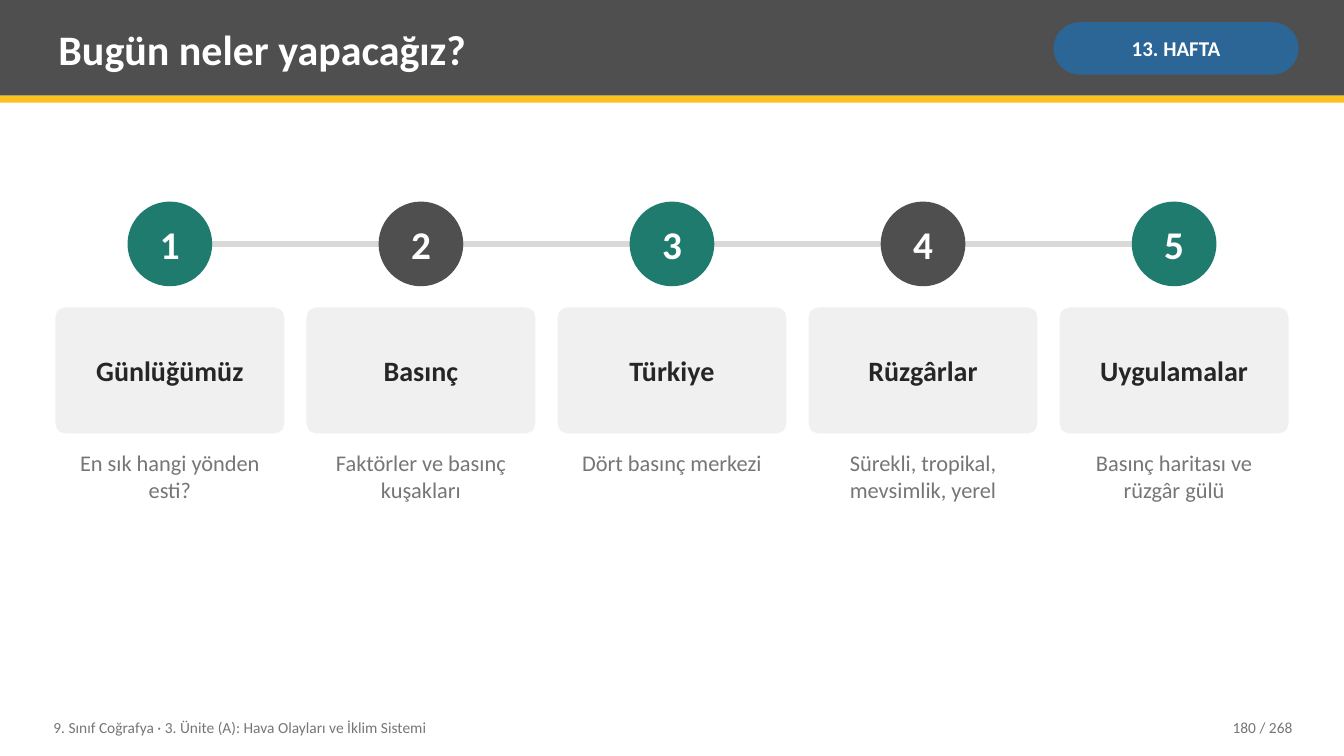
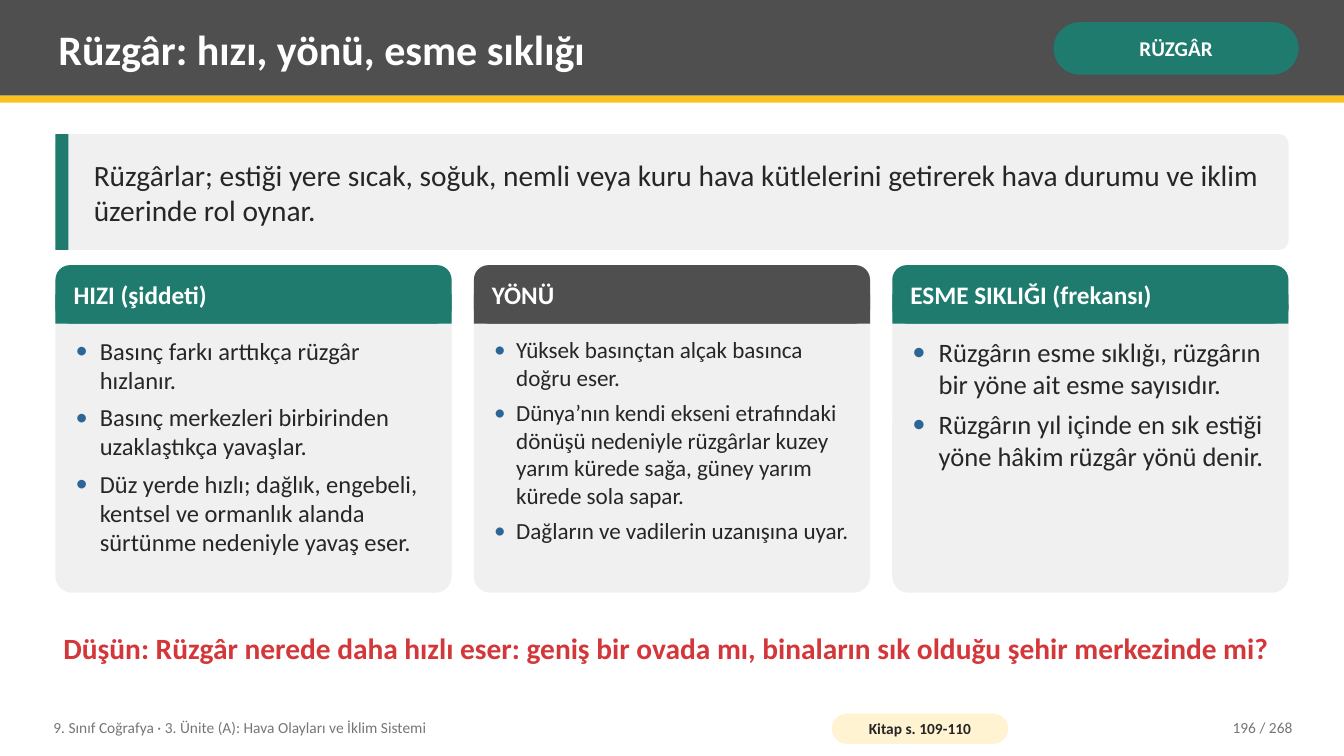
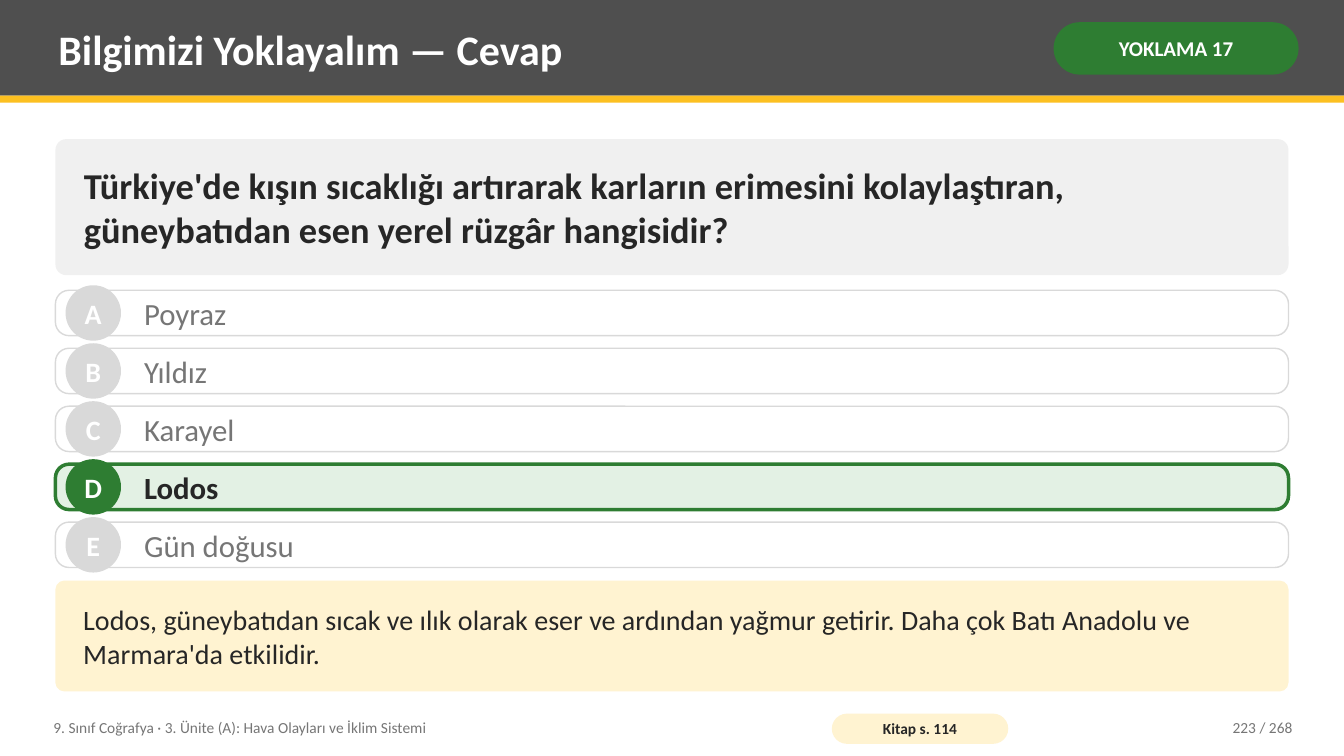
from lxml.etree import SubElement
from pptx import Presentation
from pptx.dml.color import RGBColor
from pptx.enum.shapes import MSO_CONNECTOR, MSO_SHAPE
from pptx.enum.text import MSO_ANCHOR, MSO_AUTO_SIZE, PP_ALIGN
from pptx.oxml.ns import qn
from pptx.util import Inches, Pt

# Shared look
FONT = "Calibri"
WHITE = RGBColor(0xFF, 0xFF, 0xFF)
CHARCOAL = RGBColor(0x4F, 0x4F, 0x4F)
YELLOW = RGBColor(0xFC, 0xC0, 0x21)
CREAM = RGBColor(0xFF, 0xF3, 0xD1)
TEAL = RGBColor(0x1E, 0x7B, 0x6E)
BLUE = RGBColor(0x2C, 0x66, 0x96)
GREEN = RGBColor(0x2E, 0x7D, 0x32)
MINT = RGBColor(0xE3, 0xF1, 0xE4)
RED = RGBColor(0xD3, 0x37, 0x3A)
PANEL = RGBColor(0xF0, 0xF0, 0xF0)
SILVER = RGBColor(0xD9, 0xD9, 0xD9)
GREY = RGBColor(0x76, 0x76, 0x76)
INK = RGBColor(0x26, 0x26, 0x26)
RECT, ROUND, OVAL = MSO_SHAPE.RECTANGLE, MSO_SHAPE.ROUNDED_RECTANGLE, MSO_SHAPE.OVAL
LEFT, CENTER, RIGHT = PP_ALIGN.LEFT, PP_ALIGN.CENTER, PP_ALIGN.RIGHT

# Grid, in inches
WIDTH, HEIGHT = 13.33, 7.5
MARGIN, GAP = 0.55, 0.22
CONTENT = WIDTH - 2 * MARGIN
FOOTER_TOP, FOOTER_HEIGHT = 7.04, 0.36


def add_box(slide, kind, left, top, width, height, fill=None, radius=None, line=None, weight=1):
    """Adds a preset shape, or a text box when kind is None."""
    place = [Inches(length) for length in (left, top, width, height)]
    if kind is None:
        return slide.shapes.add_textbox(*place)
    box = slide.shapes.add_shape(kind, *place)
    box.shadow.inherit = False
    box.fill.solid()
    box.fill.fore_color.rgb = fill
    if radius is not None:
        box.adjustments[0] = radius
    if line is None:
        box.line.fill.background()
    else:
        box.line.color.rgb = line
        box.line.width = Pt(weight)
    return box


def write(box, text, size, color, bold=False, align=LEFT, anchor=MSO_ANCHOR.MIDDLE,
          inset=(0.08, 0.04), hanging=None, after=0):
    """Fills a shape with one paragraph per line; hanging makes them bullets."""
    frame = box.text_frame
    frame.text = text
    frame.word_wrap = True
    frame.auto_size = MSO_AUTO_SIZE.NONE
    frame.vertical_anchor = anchor
    frame.margin_left = frame.margin_right = Inches(inset[0])
    frame.margin_top = frame.margin_bottom = Inches(inset[1])
    for paragraph in frame.paragraphs:
        paragraph.alignment = align
        paragraph.space_before = Pt(0)
        paragraph.space_after = Pt(after if paragraph is not frame.paragraphs[-1] else 0)
        properties = paragraph._p.get_or_add_pPr()
        properties.set("marL", str(Inches(hanging or 0)))
        properties.set("indent", str(-Inches(hanging or 0)))
        if hanging:
            bullet_color = SubElement(properties, qn("a:buClr"))
            SubElement(bullet_color, qn("a:srgbClr"), val=str(BLUE))
            SubElement(properties, qn("a:buFont"), typeface=FONT)
            SubElement(properties, qn("a:buChar"), char="•")
        else:
            SubElement(properties, qn("a:buNone"))
        font = paragraph.font
        font.name, font.size, font.bold = FONT, Pt(size), bold
        font.color.rgb = color


deck = Presentation()
deck.slide_width, deck.slide_height = Inches(WIDTH), Inches(HEIGHT)
TITLE_ONLY, COMPARISON = deck.slide_layouts[5], deck.slide_layouts[4]

# Title, tag, book reference and page number of each slide
pages = [
    (TITLE_ONLY, "Bugün neler yapacağız?", "13. HAFTA", BLUE, None, 180),
    (COMPARISON, "Rüzgâr: hızı, yönü, esme sıklığı", "RÜZGÂR", TEAL, "Kitap s. 109-110", 196),
    (TITLE_ONLY, "Bilgimizi Yoklayalım — Cevap", "YOKLAMA 17", GREEN, "Kitap s. 114", 223),
]
for layout, heading, tag_text, tag_color, book_pages, number in pages:
    slide = deck.slides.add_slide(layout)
    title = slide.shapes.title
    title.left, title.top = Inches(0.5), Inches(0.07)
    title.width, title.height = Inches(9.75), Inches(0.82)
    write(title, heading, 30, WHITE, bold=True)
    tag = add_box(slide, ROUND, 10.45, 0.22, 2.43, 0.52, tag_color, 0.5)
    write(tag, tag_text, 15, WHITE, bold=True, align=CENTER, inset=(0.05, 0.02))
    if book_pages:
        reference = add_box(slide, ROUND, 8.25, 7.08, 1.75, 0.3, CREAM, 0.5)
        write(reference, book_pages, 11, INK, bold=True, align=CENTER, inset=(0.04, 0))
    page_number = add_box(slide, None, 11.3, FOOTER_TOP, 1.6, FOOTER_HEIGHT)
    write(page_number, f"{number} / 268", 11, GREY, align=RIGHT)
agenda, wind, quiz = deck.slides

# Bands and footer, moved to the slide master
header_band = add_box(agenda, RECT, 0, 0, WIDTH, 0.95, CHARCOAL)
accent_band = add_box(agenda, RECT, 0, 0.95, WIDTH, 0.07, YELLOW)
footer = add_box(agenda, None, 0.45, FOOTER_TOP, 7.6, FOOTER_HEIGHT)
write(footer, "9. Sınıf Coğrafya · 3. Ünite (A): Hava Olayları ve İklim Sistemi", 11, GREY)
for shape_id, shared in enumerate((header_band, accent_band, footer), 101):
    shared.element.nvSpPr.cNvPr.id = shape_id
    deck.slide_master.shapes.element.append(shared.element)

# Agenda: five numbered steps on a line
steps = [
    ("Günlüğümüz", "En sık hangi yönden esti?"),
    ("Basınç", "Faktörler ve basınç kuşakları"),
    ("Türkiye", "Dört basınç merkezi"),
    ("Rüzgârlar", "Sürekli, tropikal, mevsimlik, yerel"),
    ("Uygulamalar", "Basınç haritası ve rüzgâr gülü"),
]
step_width = (CONTENT - GAP * (len(steps) - 1)) / len(steps)
circle_top, circle_size = 2, 0.84
line_y = Inches(circle_top + circle_size / 2)
timeline = agenda.shapes.add_connector(
    MSO_CONNECTOR.STRAIGHT, Inches(MARGIN + step_width / 2), line_y,
    Inches(WIDTH - MARGIN - step_width / 2), line_y)
timeline.line.color.rgb = SILVER
timeline.line.width = Pt(4)
SubElement(timeline.element.spPr, qn("a:effectLst"))
for index, (step, detail) in enumerate(steps):
    left = MARGIN + index * (step_width + GAP)
    circle = add_box(agenda, OVAL, left + (step_width - circle_size) / 2, circle_top,
                     circle_size, circle_size, (TEAL, CHARCOAL)[index % 2])
    write(circle, str(index + 1), 28, WHITE, bold=True, align=CENTER, inset=(0, 0))
    step_card = add_box(agenda, ROUND, left, 3.05, step_width, 1.25, PANEL, 0.08)
    write(step_card, step, 20, INK, bold=True, align=CENTER, inset=(0.08, 0.08))
    step_detail = add_box(agenda, None, left, 4.42, step_width, 1.9)
    write(step_detail, detail, 16, GREY, align=CENTER, anchor=MSO_ANCHOR.TOP)

# Wind: introduction
_, introduction, *lists = wind.placeholders
add_box(wind, ROUND, MARGIN, 1.33, CONTENT, 1.15, PANEL, 0.08)
add_box(wind, RECT, MARGIN, 1.33, 0.13, 1.15, TEAL)
introduction.left, introduction.top = Inches(MARGIN + 0.3), Inches(1.33)
introduction.width, introduction.height = Inches(CONTENT - 0.45), Inches(1.15)
write(introduction, "Rüzgârlar; estiği yere sıcak, soğuk, nemli veya kuru hava kütlelerini "
      "getirerek hava durumu ve iklim üzerinde rol oynar.", 21, INK)
wind.shapes.element.append(introduction.element)

# Wind: three cards with lists (heading, colour, size, hanging indent, space after, points)
cards = [
    ("HIZI (şiddeti)", TEAL, 17.5, 0.24, 5.5, [
        "Basınç farkı arttıkça rüzgâr hızlanır.",
        "Basınç merkezleri birbirinden uzaklaştıkça yavaşlar.",
        "Düz yerde hızlı; dağlık, engebeli, kentsel ve ormanlık alanda sürtünme "
        "nedeniyle yavaş eser."]),
    ("YÖNÜ", CHARCOAL, 16.5, 0.22, 5.2, [
        "Yüksek basınçtan alçak basınca doğru eser.",
        "Dünya’nın kendi ekseni etrafındaki dönüşü nedeniyle rüzgârlar kuzey yarım "
        "kürede sağa, güney yarım kürede sola sapar.",
        "Dağların ve vadilerin uzanışına uyar."]),
    ("ESME SIKLIĞI (frekansı)", TEAL, 19, 0.26, 6, [
        "Rüzgârın esme sıklığı, rüzgârın bir yöne ait esme sayısıdır.",
        "Rüzgârın yıl içinde en sık estiği yöne hâkim rüzgâr yönü denir."]),
]
card_width = (CONTENT - GAP * (len(cards) - 1)) / len(cards)
card_top, head_height = 2.63, 0.58
for index, (heading, color, size, hanging, after, points) in enumerate(cards):
    left = MARGIN + index * (card_width + GAP)
    add_box(wind, ROUND, left, card_top, card_width, 3.25, PANEL, 0.05)
    add_box(wind, ROUND, left, card_top, card_width, head_height, color, 0.25)
    add_box(wind, RECT, left, card_top + head_height / 2, card_width, head_height / 2, color)
    card_heading = add_box(wind, None, left + 0.1, card_top, card_width - 0.2, head_height)
    write(card_heading, heading, 18, WHITE, bold=True)
    card_list = lists[index]
    card_list.left, card_list.top = Inches(left + 0.12), Inches(3.29)
    card_list.width, card_list.height = Inches(card_width - 0.24), Inches(2.51)
    write(card_list, "\n".join(points), size, INK, anchor=MSO_ANCHOR.TOP,
          hanging=hanging, after=after)
    wind.shapes.element.append(card_list.element)

# Wind: question to think about
think = add_box(wind, None, MARGIN, 6.03, CONTENT, 0.8)
write(think, "Düşün: Rüzgâr nerede daha hızlı eser: geniş bir ovada mı, "
      "binaların sık olduğu şehir merkezinde mi?", 21, RED, bold=True)

# Quiz: question, options and explanation
question = add_box(quiz, ROUND, MARGIN, 1.38, CONTENT, 1.35, PANEL, 0.08)
write(question, "Türkiye'de kışın sıcaklığı artırarak karların erimesini kolaylaştıran, "
      "güneybatıdan esen yerel rüzgâr hangisidir?", 26, INK, bold=True, inset=(0.25, 0.08))
options = ["Poyraz", "Yıldız", "Karayel", "Lodos", "Gün doğusu"]
answer = "Lodos"
option_top, option_pitch, option_height, letter_size = 2.88, 0.575, 0.45, 0.55
for index, option in enumerate(options):
    top = option_top + index * option_pitch
    correct = option == answer
    accent = GREEN if correct else SILVER
    add_box(quiz, ROUND, MARGIN, top, CONTENT, option_height, MINT if correct else WHITE,
            0.3, accent, 2.5 if correct else 1)
    letter = add_box(quiz, OVAL, MARGIN + 0.1, top - (letter_size - option_height) / 2,
                     letter_size, letter_size, accent)
    write(letter, "ABCDE"[index], 20, WHITE, bold=True, align=CENTER, inset=(0, 0))
    option_text = add_box(quiz, None, MARGIN + 0.8, top, CONTENT - 1, option_height)
    write(option_text, option, 22, INK if correct else GREY, bold=correct)
explanation = add_box(quiz, ROUND, MARGIN, 5.76, CONTENT, 1.1, CREAM, 0.08)
write(explanation, "Lodos, güneybatıdan sıcak ve ılık olarak eser ve ardından yağmur getirir. "
      "Daha çok Batı Anadolu ve Marmara'da etkilidir.", 20, INK, inset=(0.25, 0.08))

deck.save("out.pptx")
